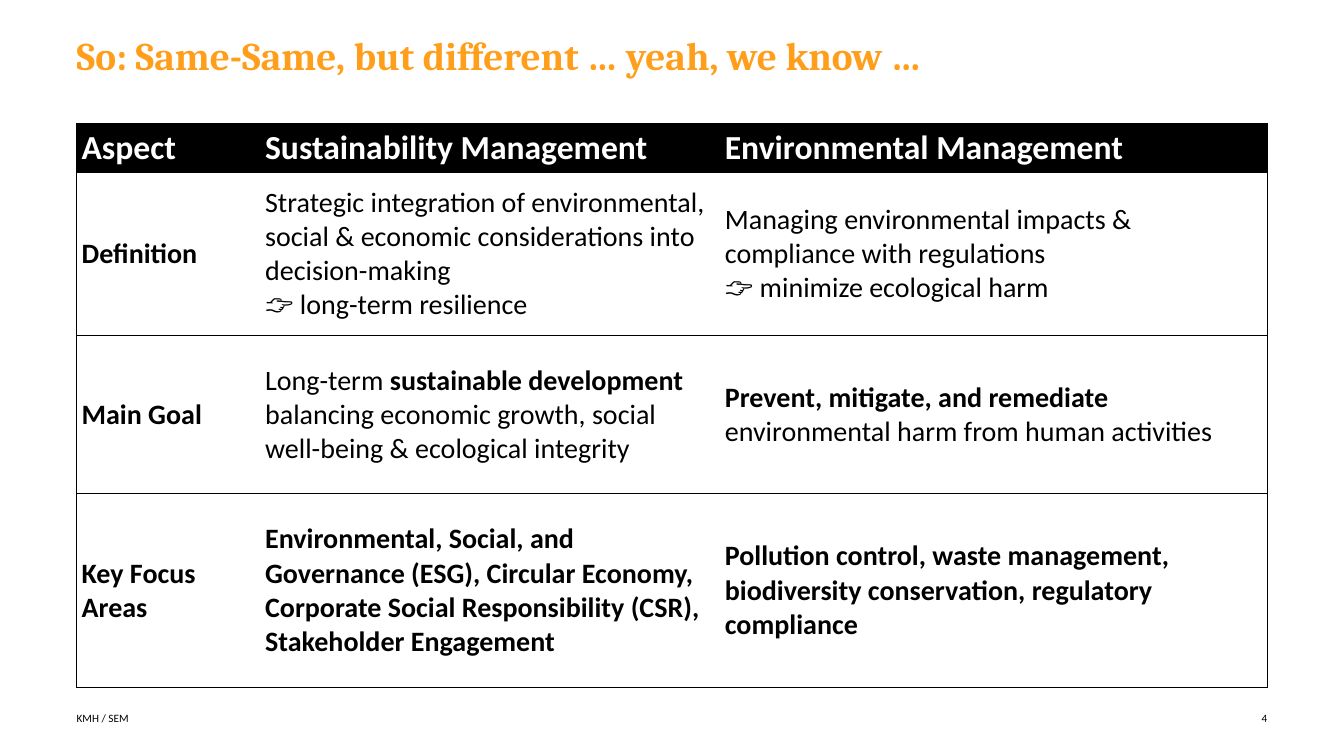
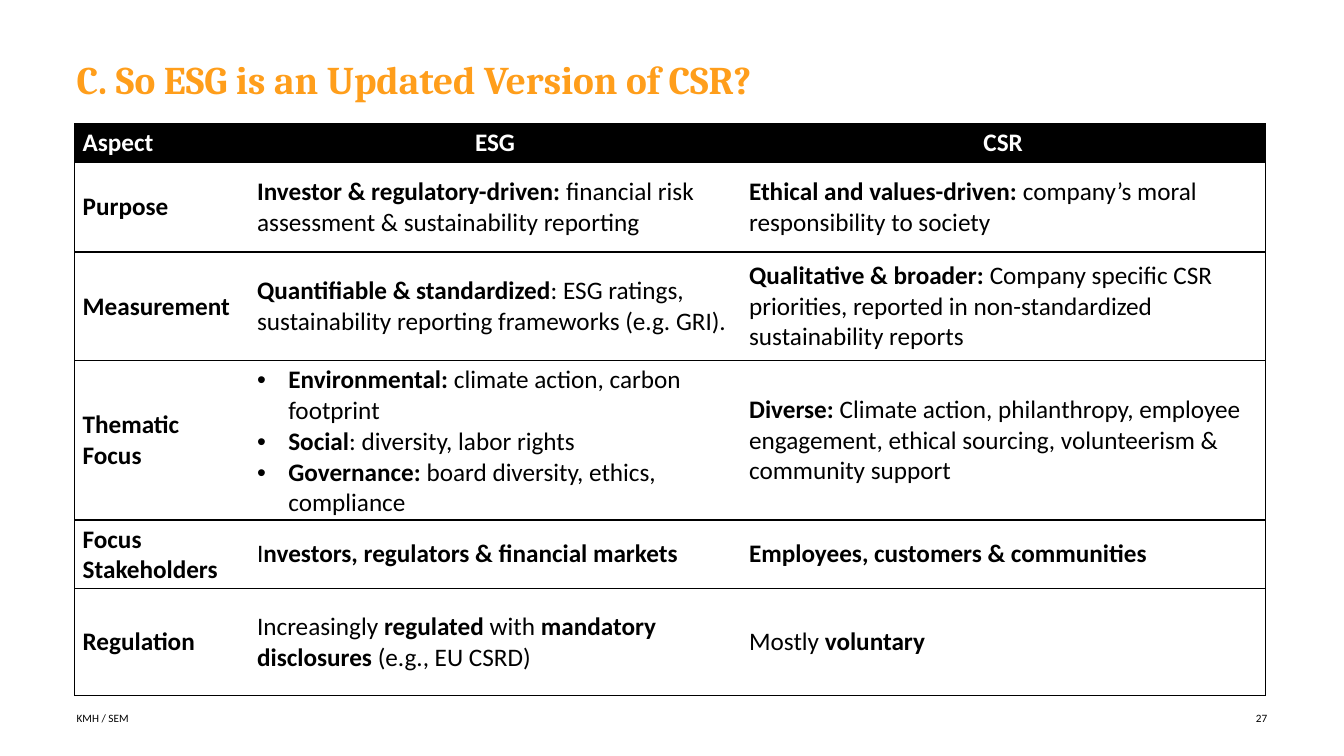
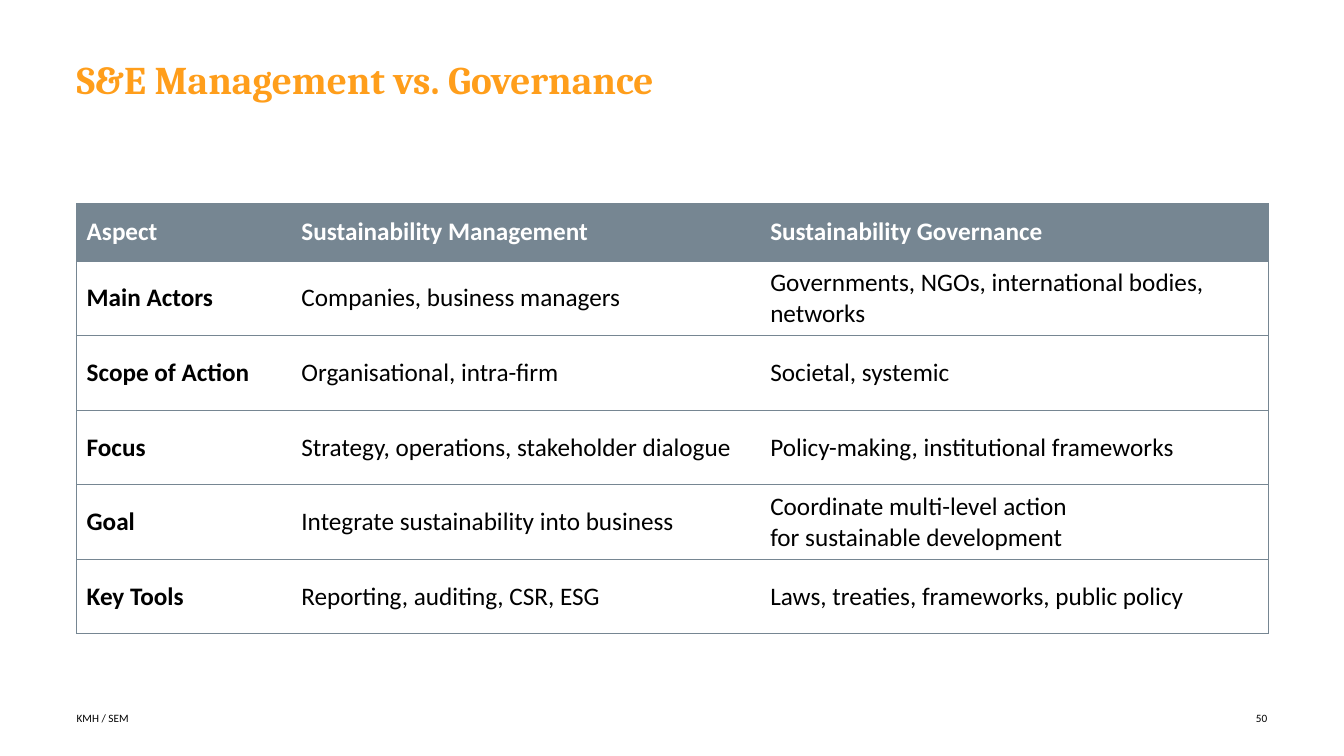
from dataclasses import dataclass

from lxml import etree
from pptx import Presentation
from pptx import util as u
from pptx.dml import color
from pptx.enum import text as t
from pptx.oxml import ns


@dataclass(frozen=True)
class Theme:
    orange: str = "FF9E1B"
    black: str = "000000"
    white: str = "FFFFFF"
    slate: str = "768692"
    heading_font: str = "Cambria"
    body_font: str = "Calibri"
    title_size: int = 28
    header_size: int = 24
    large_size: int = 20
    body_size: int = 18
    footer_size: int = 8
    border_width: int = 1
    bullet_indent: float = 0.31
    left: float = 0.76
    width: float = 11.81


THEME = Theme()


class Deck:
    """Holds the theme, the presentation and the current slide."""

    def __init__(self, theme):
        self.theme = theme
        self.presentation = Presentation()
        self.presentation.slide_width = u.Inches(13.33)
        self.presentation.slide_height = u.Inches(7.5)
        self.slide = None

    def add_slide(self, title, number, title_top=0.6):
        theme = self.theme
        self.slide = self.presentation.slides.add_slide(self.presentation.slide_layouts[6])
        heading = self.add_text(title, theme.left, title_top, 10.71, 0.87, theme.title_size,
                                theme.orange, theme.heading_font, t.MSO_ANCHOR.TOP)
        heading.font.bold = True
        heading.line_spacing = 0.9
        # Footer and slide number
        self.add_text("KMH / SEM", theme.left, 7.04, 5.59, 0.16, theme.footer_size)
        page = self.add_text(str(number), 12.02, 7.04, 0.55, 0.16, theme.footer_size)
        page.alignment = t.PP_ALIGN.RIGHT

    def add_text(self, words, left, top, width, height, size, tint=THEME.black,
                 font=THEME.body_font, anchor=t.MSO_ANCHOR.MIDDLE):
        box = self.slide.shapes.add_textbox(*map(u.Inches, (left, top, width, height)))
        frame = box.text_frame
        frame.word_wrap = True
        frame.vertical_anchor = anchor
        frame.margin_left = frame.margin_right = frame.margin_top = frame.margin_bottom = 0
        paragraph = frame.paragraphs[0]
        paragraph.text = words
        self.set_font(paragraph, size, tint, font)
        return paragraph

    def set_font(self, paragraph, size, tint, font=THEME.body_font):
        paragraph.font.name = font
        paragraph.font.size = u.Pt(size)
        paragraph.font.color.rgb = color.RGBColor.from_string(tint)

    def add_table(self, rows, top, column_widths, row_heights, tint, left=THEME.left,
                  margins=(0.1, 0.05), header_size=THEME.body_size,
                  body_size=THEME.body_size, center_header=False):
        theme = self.theme
        frame = self.slide.shapes.add_table(
            len(rows), len(column_widths), u.Inches(left), u.Inches(top),
            u.Inches(theme.width), u.Inches(sum(row_heights)))
        table = frame.table
        table.first_row = table.horz_banding = False
        for column, width in zip(table.columns, column_widths):
            column.width = u.Inches(width)
        for row, height in zip(table.rows, row_heights):
            row.height = u.Inches(height)
        last = len(column_widths) - 1
        for r, row in enumerate(rows):
            for c, content in enumerate(row):
                cell = table.cell(r, c)
                header = r == 0
                cell.vertical_anchor = t.MSO_ANCHOR.MIDDLE
                cell.margin_left = cell.margin_right = u.Inches(margins[0])
                cell.margin_top = cell.margin_bottom = u.Inches(margins[1])
                self.set_borders(cell, tint, c == 0, c == last)
                cell.fill.solid()
                cell.fill.fore_color.rgb = color.RGBColor.from_string(
                    tint if header else theme.white)
                if header or c == 0:
                    content = f"**{content}**"
                self.fill_cell(cell, content, header_size if header else body_size,
                               theme.white if header else theme.black)
                if header and center_header and c > 0:
                    cell.text_frame.paragraphs[0].alignment = t.PP_ALIGN.CENTER

    def fill_cell(self, cell, content, size, tint):
        """A string is one paragraph, a tuple is a bulleted list, ** marks bold."""
        bulleted = isinstance(content, tuple)
        for index, line in enumerate(content if bulleted else (content,)):
            frame = cell.text_frame
            paragraph = frame.add_paragraph() if index else frame.paragraphs[0]
            if bulleted:
                self.set_bullet(paragraph)
            self.set_font(paragraph, size, tint)
            parts = [(words, i % 2 == 1) for i, words in enumerate(line.split("**")) if words]
            uniform = len(parts) == 1
            if uniform:
                paragraph.font.bold = parts[0][1]
            for words, bold in parts:
                for n, piece in enumerate(words.split("\n")):
                    if n:
                        paragraph.add_line_break()
                    run = paragraph.add_run()
                    run.text = piece
                    if not uniform:
                        run.font.bold = bold

    def set_bullet(self, paragraph):
        properties = paragraph._p.get_or_add_pPr()
        indent = u.Inches(self.theme.bullet_indent)
        properties.set("marL", str(indent))
        properties.set("indent", str(-indent))
        etree.SubElement(properties, ns.qn("a:buFont")).set("typeface", "Arial")
        etree.SubElement(properties, ns.qn("a:buChar")).set("char", "•")

    def set_borders(self, cell, tint, first, last):
        """Rules above and below each cell, and around the outside only."""
        properties = cell._tc.get_or_add_tcPr()
        for side, visible in (("L", first), ("R", last), ("T", True), ("B", True)):
            line = etree.SubElement(properties, ns.qn(f"a:ln{side}"))
            line.set("w", str(u.Pt(self.theme.border_width)))
            if visible:
                fill = etree.SubElement(line, ns.qn("a:solidFill"))
                etree.SubElement(fill, ns.qn("a:srgbClr")).set("val", tint)
            else:
                etree.SubElement(line, ns.qn("a:noFill"))


def main():
    deck = Deck(THEME)

    # Sustainability and environmental management
    deck.add_slide("So: Same-Same, but different … yeah, we know …", 4, title_top=0.36)
    deck.add_table([
        ("Aspect", "Sustainability Management", "Environmental Management"),
        ("Definition",
         "Strategic integration of environmental, social & economic considerations into "
         "decision-making\n👉 long-term resilience",
         "Managing environmental impacts & compliance with regulations\n"
         "👉 minimize ecological harm"),
        ("Main Goal",
         "Long-term **sustainable development** balancing economic growth, social "
         "well-being & ecological integrity",
         "**Prevent, mitigate, and remediate** environmental harm from human activities"),
        ("Key Focus Areas",
         "**Environmental, Social, and Governance (ESG), Circular Economy, Corporate "
         "Social Responsibility (CSR),\nStakeholder Engagement**",
         "**Pollution control, waste management,\nbiodiversity conservation, "
         "regulatory compliance**"),
    ], 1.23, (1.82, 4.56, 5.43), (0.48, 1.62, 1.57, 1.92), THEME.black,
        margins=(0.05, 0.02), header_size=THEME.header_size, body_size=THEME.large_size)

    # ESG and CSR
    deck.add_slide("C. So ESG is an Updated Version of CSR?", 27)
    deck.add_table([
        ("Aspect", "ESG", "CSR"),
        ("Purpose",
         "**Investor & regulatory-driven: **financial risk assessment & "
         "sustainability reporting",
         "**Ethical and values-driven:** company’s moral responsibility to society"),
        ("Measurement",
         "**Quantifiable & standardized**: ESG ratings, sustainability reporting "
         "frameworks (e.g. GRI).",
         "**Qualitative & broader:** Company specific CSR priorities, reported in "
         "non-standardized sustainability reports"),
        ("Thematic Focus",
         ("**Environmental: **climate action, carbon footprint",
          "**Social**: diversity, labor rights",
          "**Governance: **board diversity, ethics, compliance"),
         "**Diverse:** Climate action, philanthropy, employee engagement, ethical "
         "sourcing, volunteerism & community support"),
        ("Focus Stakeholders",
         "I**nvestors, regulators & financial markets**",
         "**Employees, customers & communities**"),
        ("Regulation",
         "Increasingly **regulated **with **mandatory disclosures **(e.g., EU CSRD)",
         "Mostly **voluntary**"),
    ], 1.23, (1.73, 4.88, 5.2), (0.37, 0.89, 1.08, 1.54, 0.66, 1.06), THEME.black,
        left=0.74, margins=(0.08, 0.04), center_header=True)

    # Management and governance
    deck.add_slide("S&E Management vs. Governance", 50)
    deck.add_table([
        ("Aspect", "Sustainability Management", "Sustainability Governance"),
        ("Main Actors", "Companies, business managers",
         "Governments, NGOs, international bodies, networks"),
        ("Scope of Action", "Organisational, intra-firm", "Societal, systemic"),
        ("Focus", "Strategy, operations, stakeholder dialogue",
         "Policy-making, institutional frameworks"),
        ("Goal", "Integrate sustainability into business",
         "Coordinate multi-level action\nfor sustainable development"),
        ("Key Tools", "Reporting, auditing, CSR, ESG",
         "Laws, treaties, frameworks, public policy"),
    ], 2.02, (2.13, 4.65, 5.04), (0.57,) + (0.74,) * 5, THEME.slate)

    deck.presentation.save("out.pptx")


if __name__ == "__main__":
    main()
